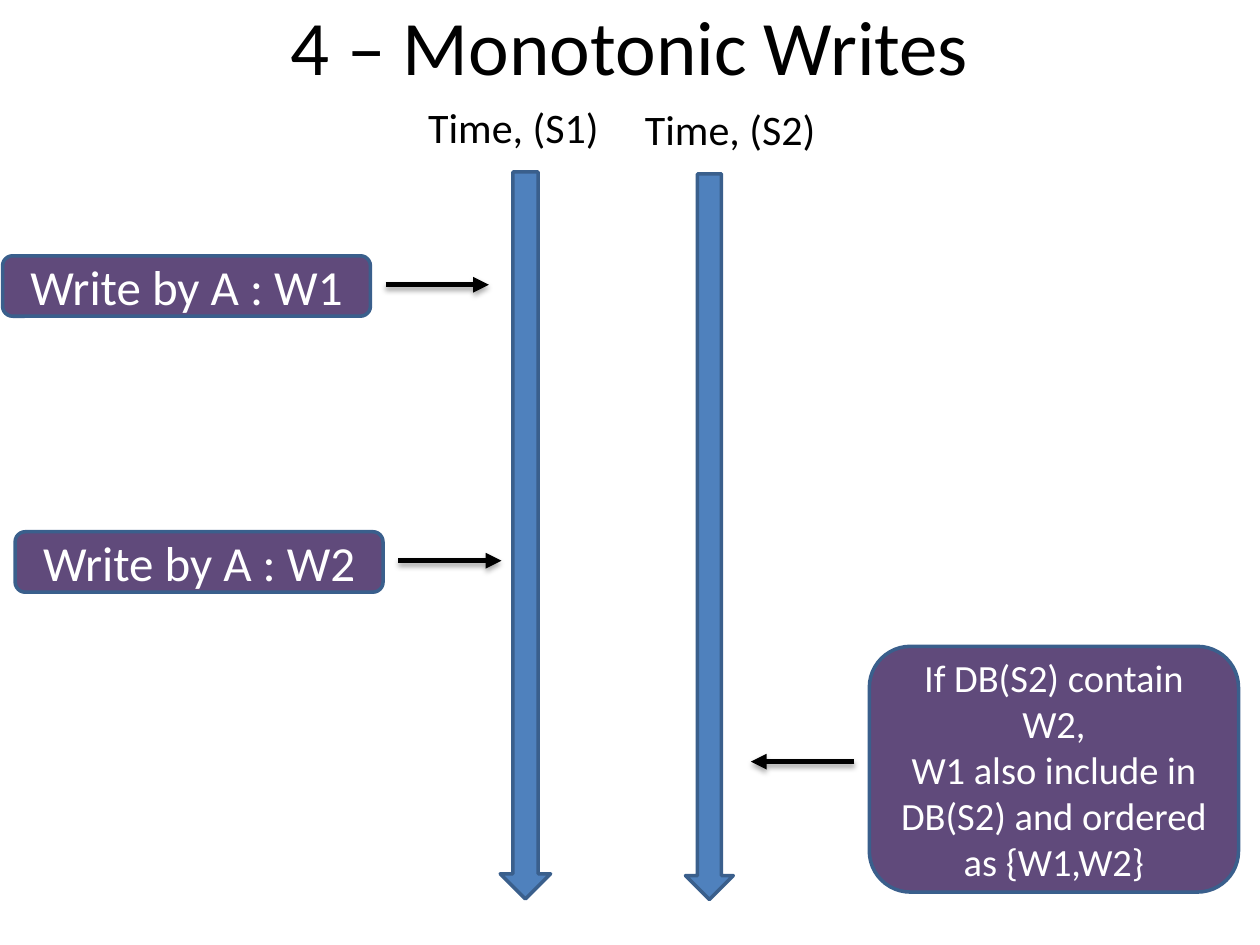
from dataclasses import dataclass

from lxml.etree import SubElement
from pptx import Presentation
from pptx.dml.color import RGBColor
from pptx.enum.shapes import MSO_CONNECTOR, MSO_SHAPE
from pptx.enum.text import MSO_ANCHOR, PP_ALIGN
from pptx.oxml.ns import qn
from pptx.util import Inches, Pt

TITLE = "4 – Monotonic Writes"
TIMELINES = [
    {"label": "Time, (S1)", "label_at": (3.3, 0.76, 1.86, 0.51),
     "center": (4.17, 4.25), "size": (5.77, 0.4)},
    {"label": "Time, (S2)", "label_at": (5.02, 0.77, 1.86, 0.51),
     "center": (5.63, 4.26), "size": (5.76, 0.38)},
]
WRITES = [("Write by A : W1", 0.02, 2.03), ("Write by A : W2", 0.12, 4.22)]
WRITE_SIZE = (2.92, 0.48)
GUARANTEE = ["If DB(S2) contain W2,", "W1 also include in DB(S2) and ordered as {W1,W2}"]
GUARANTEE_AT = (6.9, 5.13, 2.93, 1.95)
POINTER_GAP, POINTER_LENGTH = 0.12, 0.82


@dataclass(frozen=True)
class Theme:
    font: str = "Calibri"
    ink: str = "000000"
    paper: str = "FFFFFF"
    event: str = "604A7B"
    timeline: str = "4F81BD"
    outline: str = "3A5F8C"
    title_size: int = 44
    label_size: int = 24
    write_size: int = 28
    guarantee_size: int = 22
    outline_width: int = 2
    pointer_width: int = 3


THEME = Theme()


def color(value):
    return RGBColor.from_string(value)


def write_text(frame, lines, size, ink, align, anchor):
    frame.word_wrap = True
    frame.vertical_anchor = anchor
    for index, line in enumerate(lines):
        paragraph = frame.paragraphs[0] if index == 0 else frame.add_paragraph()
        paragraph.alignment = align
        run = paragraph.add_run()
        run.text = line
        run.font.name, run.font.size = THEME.font, Pt(size)
        run.font.color.rgb = color(ink)


def add_label(slide, text, at, size, align=PP_ALIGN.LEFT, anchor=MSO_ANCHOR.TOP):
    label = slide.shapes.add_textbox(*map(Inches, at))
    write_text(label.text_frame, [text], size, THEME.ink, align, anchor)


def add_block(slide, preset, at, fill):
    block = slide.shapes.add_shape(preset, *map(Inches, at))
    block.shadow.inherit = False
    block.fill.solid()
    block.fill.fore_color.rgb = color(fill)
    block.line.color.rgb = color(THEME.outline)
    block.line.width = Pt(THEME.outline_width)
    return block


def add_event(slide, lines, at, size):
    event = add_block(slide, MSO_SHAPE.ROUNDED_RECTANGLE, at, THEME.event)
    write_text(event.text_frame, lines, size, THEME.paper, PP_ALIGN.CENTER, MSO_ANCHOR.MIDDLE)


def add_timeline(slide, timeline):
    add_label(slide, timeline["label"], timeline["label_at"], THEME.label_size)
    (x, y), (length, breadth) = timeline["center"], timeline["size"]
    at = (x - length / 2, y - breadth / 2, length, breadth)
    add_block(slide, MSO_SHAPE.RIGHT_ARROW, at, THEME.timeline).rotation = 90


def add_pointer(slide, start, end, y):
    pointer = slide.shapes.add_connector(MSO_CONNECTOR.STRAIGHT, *map(Inches, (start, y, end, y)))
    pointer.line.color.rgb = color(THEME.ink)
    pointer.line.width = Pt(THEME.pointer_width)
    SubElement(pointer.line._get_or_add_ln(), qn("a:tailEnd"), type="triangle")
    effects = SubElement(pointer._element.spPr, qn("a:effectLst"))
    shadow = SubElement(effects, qn("a:outerShdw"), blurRad=str(Pt(3.1)), dist=str(Pt(1.8)),
                        dir="5400000", rotWithShape="0")
    shade = SubElement(shadow, qn("a:srgbClr"), val=THEME.ink)
    SubElement(shade, qn("a:alpha"), val="35000")


def main():
    """Build the monotonic writes slide."""
    deck = Presentation()
    deck.slide_width, deck.slide_height = Inches(10), Inches(7.5)
    slide = deck.slides.add_slide(deck.slide_layouts[6])

    add_label(slide, TITLE, (0.5, -0.27, 9, 1.25), THEME.title_size,
              PP_ALIGN.CENTER, MSO_ANCHOR.MIDDLE)

    left, top, _, height = GUARANTEE_AT
    start = left - POINTER_GAP
    add_pointer(slide, start, start - POINTER_LENGTH, top + height / 2 - 0.06)
    add_event(slide, GUARANTEE, GUARANTEE_AT, THEME.guarantee_size)

    for timeline in TIMELINES:
        add_timeline(slide, timeline)

    width, height = WRITE_SIZE
    for write, left, top in WRITES:
        start = left + width + POINTER_GAP
        add_pointer(slide, start, start + POINTER_LENGTH, top + height / 2 - 0.01)
        add_event(slide, [write], (left, top, width, height), THEME.write_size)

    deck.save("out.pptx")


if __name__ == "__main__":
    main()
